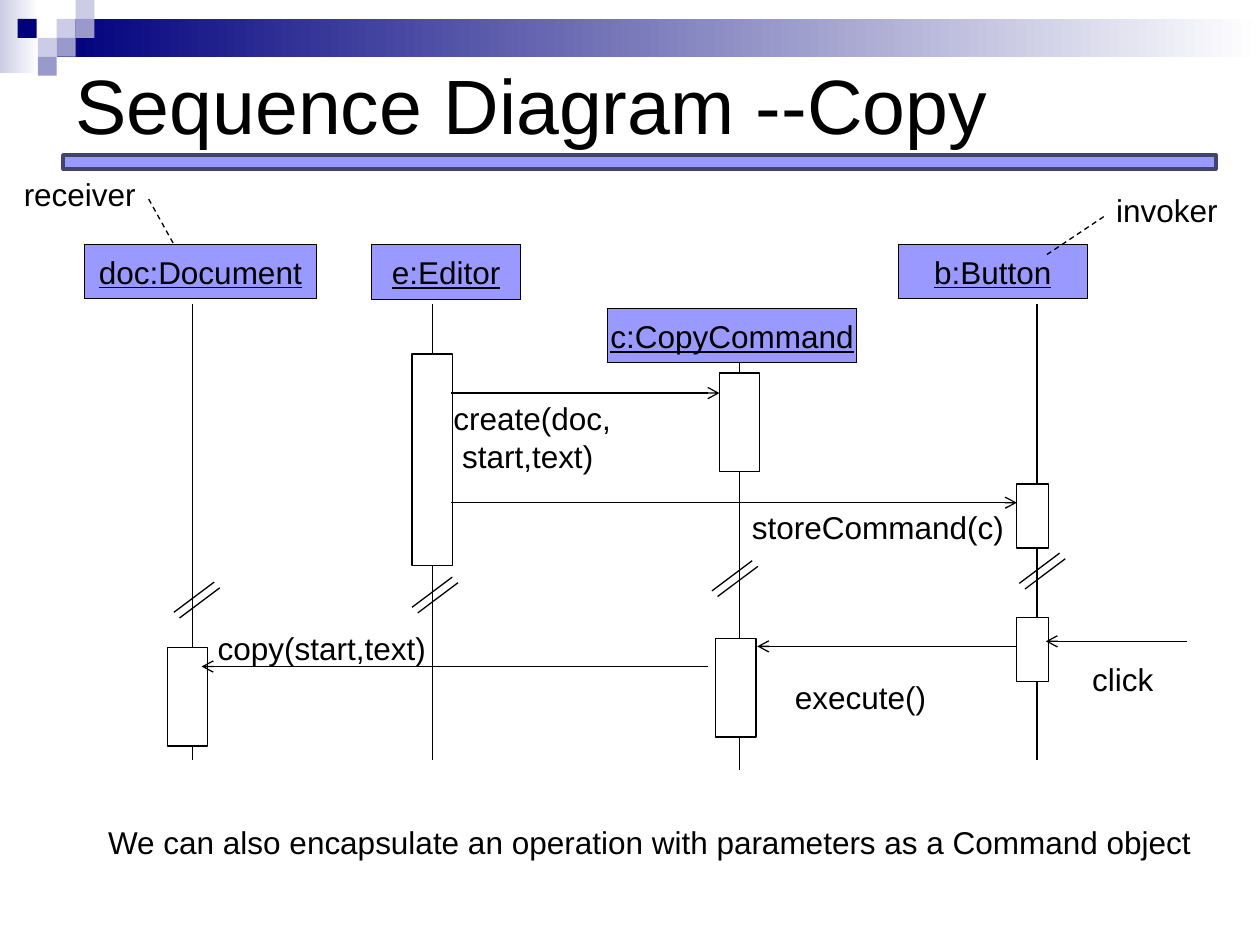
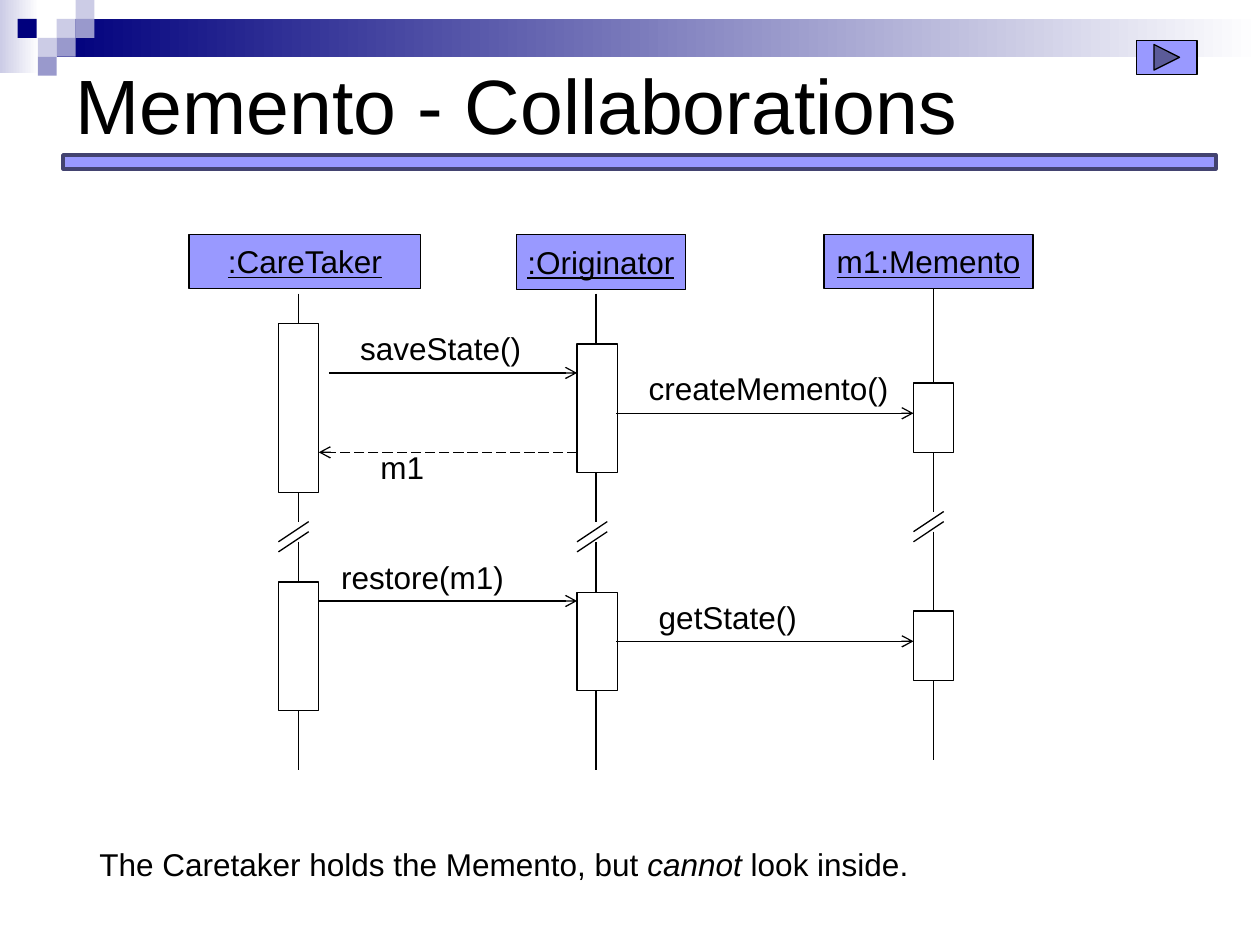
from dataclasses import dataclass, field

from lxml.etree import SubElement
from pptx import Presentation
from pptx.dml.color import RGBColor
from pptx.enum.dml import MSO_LINE
from pptx.enum.shapes import MSO_CONNECTOR, MSO_SHAPE
from pptx.enum.text import MSO_ANCHOR, PP_ALIGN
from pptx.oxml.ns import qn
from pptx.util import Inches, Pt


@dataclass
class Theme:
    ink: str = "000000"
    paper: str = "FFFFFF"
    navy: str = "00007D"
    lavender: str = "CCCCE6"
    slate: str = "9999CC"
    accent: str = "9999FF"
    rule: str = "434370"
    hairline: float = 0.75
    title: dict = field(default_factory=lambda: {"name": "Arial", "size": Pt(44)})
    label: dict = field(default_factory=lambda: {"name": "Arial", "size": Pt(18)})
    head: dict = field(default_factory=lambda: {"name": "Arial", "size": Pt(18), "underline": True})


theme = Theme()
deck = Presentation()
deck.slide_width, deck.slide_height = Inches(10), Inches(7.5)
column, row = deck.slide_width / 100, deck.slide_height / 75


def add_box(page, at, fill, outline=None, weight=theme.hairline, kind=MSO_SHAPE.RECTANGLE):
    left, top, width, height = at
    box = page.shapes.add_shape(
        kind, int(left * column), int(top * row), int(width * column), int(height * row))
    box.shadow.inherit = False
    if isinstance(fill, tuple):
        box.fill.gradient()
        box.fill.gradient_angle = 0
        for stop, color in zip(box.fill.gradient_stops, fill):
            stop.color.rgb = RGBColor.from_string(color)
    else:
        box.fill.solid()
        box.fill.fore_color.rgb = RGBColor.from_string(fill)
    if outline:
        box.line.color.rgb = RGBColor.from_string(outline)
        box.line.width = Pt(weight)
    else:
        box.line.fill.background()
    return box


def add_line(page, start, end, dash=None, arrow=False):
    line = page.shapes.add_connector(
        MSO_CONNECTOR.STRAIGHT, int(start[0] * column), int(start[1] * row),
        int(end[0] * column), int(end[1] * row))
    line.line.color.rgb = RGBColor.from_string(theme.ink)
    line.line.width = Pt(theme.hairline)
    if dash:
        line.line.dash_style = dash
    properties = line._element.spPr
    if arrow:
        SubElement(properties.find(qn("a:ln")), qn("a:tailEnd"), type="arrow")
    SubElement(properties, qn("a:effectLst"))


diagrams = [
    {
        "title": "Sequence Diagram --Copy",
        "break_size": (3.2, 2.4), "break_step": (0.45, 0.45), "break_gap": 0,
        "lifelines": [
            {"name": "doc:Document", "head": (6.7, 19.4, 18.4, 4.3), "axis": 15.3,
             "ends": (24.1, 60.3), "break": (13.8, 46.2), "bars": [(13.3, 51.4, 3.2, 7.8)]},
            {"name": "e:Editor", "head": (29.5, 19.4, 11.8, 4.4), "axis": 34.3,
             "ends": (24.1, 60.3), "break": (32.7, 45.8), "bars": [(32.7, 28.1, 3.2, 16.8)]},
            {"name": "c:CopyCommand", "head": (48.2, 24.5, 19.8, 4.3), "axis": 58.7,
             "ends": (28.8, 61.1), "break": (56.5, 44.5),
             "bars": [(57.1, 29.6, 3.2, 7.8), (56.8, 50.7, 3.2, 7.8)]},
            {"name": "b:Button", "head": (71.3, 19.4, 15, 4.3), "axis": 82.3,
             "ends": (24.1, 60.3), "break": (80.9, 43.9),
             "bars": [(80.7, 38.4, 2.5, 5.1), (80.7, 49, 2.5, 5.1)]},
        ],
        "messages": [(35.8, 57.1, 31.2), (35.8, 80.7, 39.9), (80.6, 60.1, 51.3),
                     (56.2, 16, 52.9), (94.2, 83, 50.9)],
        "dashed": [((11.8, 15.8), (13.8, 19.4), MSO_LINE.DASH, False),
                   ((87.6, 17.2), (83.1, 20.2), MSO_LINE.DASH, False)],
        "labels": [
            ("storeCommand(c)", (58.7, 39.8, 22, 4)),
            ("create(doc,\n start,text)", (35, 31.2, 14.6, 7.1)),
            ("click", (85.7, 51.9, 6.9, 4)),
            ("copy(start,text)", (16.3, 49.4, 18.7, 4)),
            ("receiver", (0.9, 13.4, 10.9, 4)),
            ("invoker", (87.6, 14.7, 10.1, 4)),
            ("execute()", (62.1, 53.3, 12.4, 4)),
            ("We can also encapsulate an operation with parameters as a Command object",
             (7.6, 64.8, 89.5, 4)),
        ],
        "buttons": [],
    },
    {
        "title": "Memento - Collaborations",
        "break_size": (2.4, 1.6), "break_step": (0, 0.8), "break_gap": 1.6,
        "lifelines": [
            {"name": ":CareTaker", "head": (15, 18.6, 18.4, 4.3), "axis": 23.7,
             "ends": (23.3, 61.1), "break": (22.1, 41.4),
             "bars": [(22.1, 25.7, 3.2, 13.4), (22.1, 46.2, 3.2, 10.2)]},
            {"name": ":Originator", "head": (41, 18.6, 13.4, 4.4), "axis": 47.3,
             "ends": (23.3, 61.1), "break": (45.8, 41.4),
             "bars": [(45.8, 27.3, 3.2, 10.2), (45.8, 47, 3.2, 7.8)]},
            {"name": "m1:Memento", "head": (65.4, 18.6, 16.6, 4.3), "axis": 74.1,
             "ends": (22.5, 60.3), "break": (72.5, 40.6),
             "bars": [(72.5, 30.4, 3.2, 5.5), (72.5, 48.5, 3.2, 5.5)]},
        ],
        "messages": [(26.1, 45.8, 29.6), (48.9, 72.5, 32.8),
                     (25.3, 45.8, 47.7), (48.9, 72.5, 50.9)],
        "dashed": [((45.8, 35.9), (25.3, 35.9), MSO_LINE.LONG_DASH, True)],
        "labels": [
            ("restore(m1)", (26.1, 43.8, 14.9, 4)),
            ("createMemento()", (50.5, 28.8, 21, 4)),
            ("getState()", (51.3, 47, 13, 4)),
            ("saveState()", (27.6, 25.6, 14.8, 4)),
            ("m1", (29.2, 35.1, 5.5, 4)),
            ("The Caretaker holds the Memento, but *cannot* look inside.",
             (6.9, 66.6, 66.8, 4)),
        ],
        "buttons": [(90.2, 3.2, 4.8, 2.7)],
    },
]

layout = deck.slide_layouts[5]
pages = [deck.slides.add_slide(layout) for diagram in diagrams]

tile = 1.5
band = [
    add_box(pages[0], (0, 0, 3.1, 5.8), (theme.lavender, theme.paper)),
    add_box(pages[0], (3 * tile, tile, 95.5, 2 * tile), (theme.navy, theme.paper)),
    add_box(pages[0], (1.4, tile, tile, tile), theme.navy),
]
for across, down, color in [
    (3, 1, theme.lavender), (4, 0, theme.lavender), (4, 1, theme.slate),
    (2, 2, theme.lavender), (3, 2, theme.slate), (2, 3, theme.slate),
]:
    band.append(add_box(pages[0], (across * tile, down * tile, tile, tile), color))
band.append(add_box(pages[0], (5, 12.3, 91.5, 1.1), theme.accent, theme.rule, 2))
for box in band:
    layout.shapes._spTree.append(box._element)

for page, diagram in zip(pages, diagrams):
    title = page.shapes.title
    title.left, title.top = int(5 * column), int(0.7 * row)
    title.width, title.height = int(90 * column), int(15 * row)
    title.text_frame.vertical_anchor = MSO_ANCHOR.MIDDLE
    texts = [(title.text_frame, diagram["title"], PP_ALIGN.LEFT, theme.title)]

    width, height = diagram["break_size"]
    for lifeline in diagram["lifelines"]:
        axis, (first, last) = lifeline["axis"], lifeline["ends"]
        left, top = lifeline["break"]
        add_line(page, (axis, first), (axis, top))
        add_line(page, (axis, top + diagram["break_gap"]), (axis, last))
        for step in range(2):
            x, y = (start + step * gap for start, gap in zip((left, top), diagram["break_step"]))
            add_line(page, (x + width, y), (x, y + height))
        for bar in lifeline["bars"]:
            add_box(page, bar, theme.paper, theme.ink)
        head = add_box(page, lifeline["head"], theme.accent, theme.ink).text_frame
        head.word_wrap = False
        head.vertical_anchor = MSO_ANCHOR.MIDDLE
        texts.append((head, lifeline["name"], PP_ALIGN.CENTER, theme.head))

    for start, end, level in diagram["messages"]:
        add_line(page, (start, level), (end, level), arrow=True)
    for start, end, dash, arrow in diagram["dashed"]:
        add_line(page, start, end, dash, arrow)
    for at in diagram["buttons"]:
        add_box(page, at, theme.accent, theme.ink, kind=MSO_SHAPE.ACTION_BUTTON_FORWARD_OR_NEXT)
    for words, (left, top, width, height) in diagram["labels"]:
        label = page.shapes.add_textbox(
            int(left * column), int(top * row), int(width * column), int(height * row)).text_frame
        label.word_wrap = False
        texts.append((label, words, PP_ALIGN.LEFT, theme.label))

    for frame, words, alignment, style in texts:
        for number, sentence in enumerate(words.split("\n")):
            para = frame.add_paragraph() if number else frame.paragraphs[0]
            para.alignment = alignment
            for part, phrase in enumerate(sentence.split("*")):
                span = para.add_run()
                span.text = phrase
                span.font.color.rgb = RGBColor.from_string(theme.ink)
                for name, value in {**style, "italic": part % 2 == 1}.items():
                    setattr(span.font, name, value)

deck.save("out.pptx")
